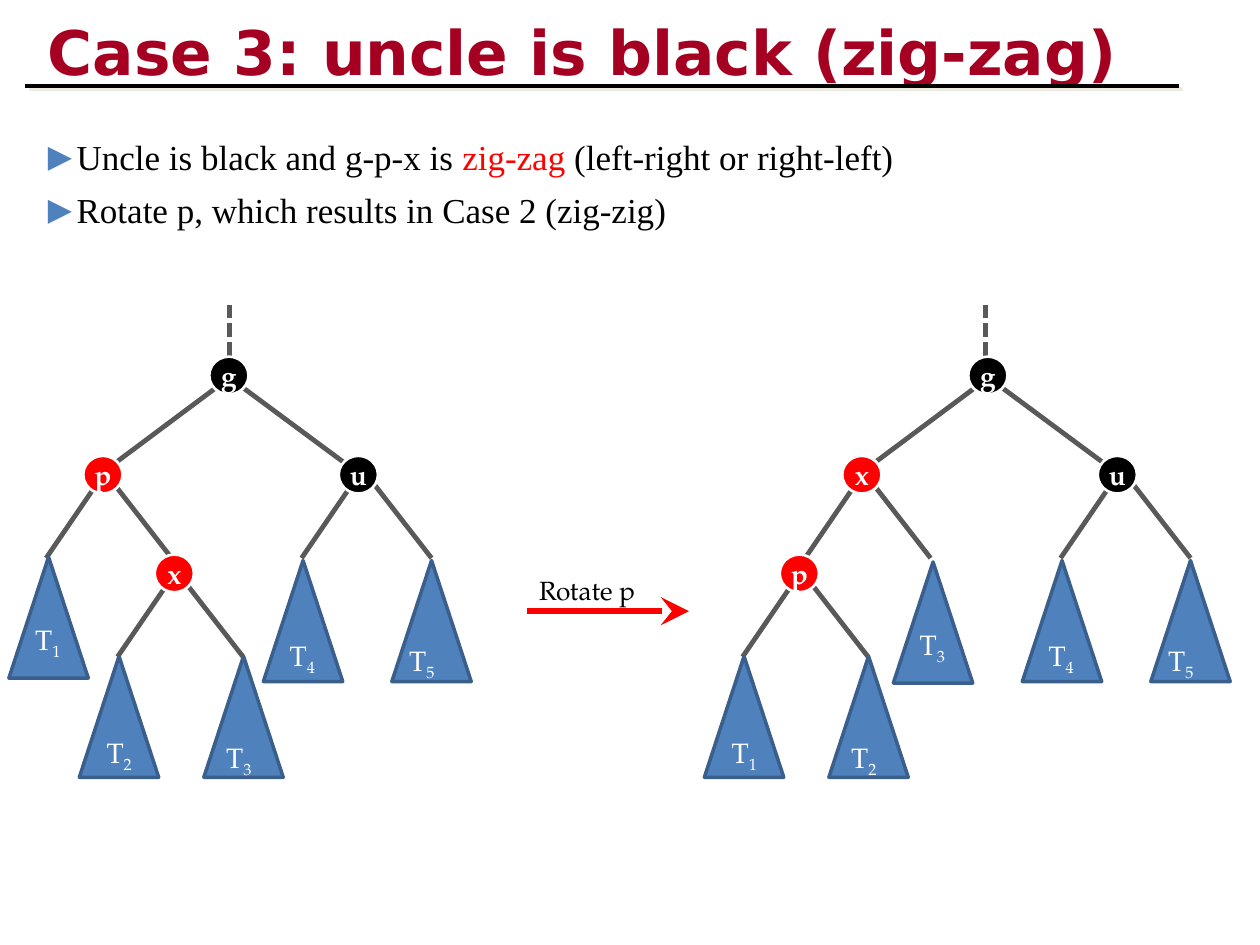
"""Build a slide showing how a zig-zag rotation restructures a red-black tree."""
from dataclasses import dataclass

import lxml.etree
import pptx
import pptx.dml.color
import pptx.enum.dml
import pptx.enum.shapes
import pptx.enum.text
import pptx.oxml.ns
import pptx.util
from pptx.util import Cm, Pt

BLACK, RED, WHITE = "000000", "FF0000", "FFFFFF"
BLUE, BLUE_EDGE, GREY, CREAM = "4F81BD", "3A5F8C", "595959", "EEECE1"
SERIF, LABEL_FONT, TITLE_FONT = "Times New Roman", "TeX Gyre Pagella", "DejaVu Sans"
NODE_WIDTH, NODE_HEIGHT = 0.79, 0.76
SUBTREE_WIDTH, SUBTREE_HEIGHT = 1.6, 2.44
SHAPE = pptx.enum.shapes.MSO_SHAPE
ANCHOR = pptx.enum.text.MSO_ANCHOR


@dataclass(frozen=True)
class Node:
    name: str
    x: float
    y: float
    fill: str
    fork_shift: float = 0


@dataclass(frozen=True)
class Subtree:
    index: str
    x: float
    y: float
    label_dx: float
    label_dy: float


@dataclass(frozen=True)
class Tree:
    offset: float
    stub_x: float
    root: Node
    forks: tuple[Node, ...]
    subtrees: tuple[Subtree, ...]


def colour(code: str):
    """Turn a hex string into a colour."""
    return pptx.dml.color.RGBColor.from_string(code)


def add_child(parent, tag: str, **attributes: str):
    """Append a drawing element to an XML parent."""
    return lxml.etree.SubElement(parent, pptx.oxml.ns.qn(tag), attributes)


def add_shadow(effects) -> None:
    """Put a hard diagonal cream shadow into an effect list."""
    shadow = add_child(effects, "a:outerShdw", blurRad="0", dist=str(Pt(2.8)),
                       dir="2700000", algn="ctr", rotWithShape="0")
    add_child(shadow, "a:srgbClr", val=CREAM)


def add_span(para, text: str, size: float, face: str, code: str, bold: bool = False):
    """Add one formatted run."""
    span = para.add_run()
    span.text = text
    span.font.size = Pt(size)
    span.font.name = face
    span.font.bold = bold
    span.font.color.rgb = colour(code)
    return span


def place(box, x: float, y: float, width: float, height: float) -> None:
    """Move and size a shape in centimetres."""
    box.left, box.top, box.width, box.height = Cm(x), Cm(y), Cm(width), Cm(height)


def draw_line(shapes, x1: float, y1: float, x2: float, y2: float,
              code: str = GREY, width: float = 2.75):
    """Draw a straight connector without a shadow."""
    line = shapes.add_connector(pptx.enum.shapes.MSO_CONNECTOR.STRAIGHT,
                                Cm(x1), Cm(y1), Cm(x2), Cm(y2))
    line.line.color.rgb = colour(code)
    line.line.width = Pt(width)
    add_child(line.element.spPr, "a:effectLst")
    return line


def draw_shape(shapes, kind, x: float, y: float, width: float, height: float,
               fill: str, edge: str, edge_width: float):
    """Draw a filled, outlined preset shape."""
    shape = shapes.add_shape(kind, Cm(x), Cm(y), Cm(width), Cm(height))
    shape.shadow.inherit = False
    shape.fill.solid()
    shape.fill.fore_color.rgb = colour(fill)
    shape.line.color.rgb = colour(edge)
    shape.line.width = Pt(edge_width)
    return shape


def draw_label(shapes, x: float, y: float, width: float, height: float):
    """Add a wrapping text box and return its paragraph."""
    box = shapes.add_textbox(Cm(x), Cm(y), Cm(width), Cm(height))
    box.text_frame.word_wrap = True
    box.text_frame.margin_right = 0
    return box.text_frame.paragraphs[0]


def draw_node(shapes, node: Node, offset: float) -> None:
    """Draw a lettered tree node."""
    circle = draw_shape(shapes, SHAPE.OVAL, node.x + offset, node.y,
                        NODE_WIDTH, NODE_HEIGHT, node.fill, WHITE, 1.5)
    circle.text_frame.word_wrap = False
    circle.text_frame.vertical_anchor = ANCHOR.MIDDLE
    para = circle.text_frame.paragraphs[0]
    para.alignment = pptx.enum.text.PP_ALIGN.CENTER
    add_span(para, node.name, 16, LABEL_FONT, WHITE, True)


def draw_subtree(shapes, subtree: Subtree, offset: float) -> None:
    """Draw a triangle labelled T with an index."""
    x = subtree.x + offset
    draw_shape(shapes, SHAPE.ISOSCELES_TRIANGLE, x, subtree.y,
               SUBTREE_WIDTH, SUBTREE_HEIGHT, BLUE, BLUE_EDGE, 2)
    para = draw_label(shapes, x + subtree.label_dx, subtree.y + subtree.label_dy, 1.07, 0.94)
    add_span(para, "T", 16, LABEL_FONT, WHITE)
    index = add_span(para, subtree.index, 16, LABEL_FONT, WHITE)
    index.font._element.set("baseline", "-25000")


def draw_tree(shapes, tree: Tree) -> None:
    """Draw the edges, then the nodes and subtrees."""
    x, y = tree.root.x + tree.offset, tree.root.y
    stub_x = tree.stub_x + tree.offset
    stub = draw_line(shapes, stub_x, y, stub_x, 6.15)
    stub.line.dash_style = pptx.enum.dml.MSO_LINE.SQUARE_DOT
    draw_line(shapes, x - 1.88, y + 2.13, x + 0.13, y + 0.63)
    draw_line(shapes, x + 2.71, y + 2.13, x + 0.55, y + 0.53)
    for node in tree.forks:
        x, y, shift = node.x + tree.offset, node.y, node.fork_shift
        draw_line(shapes, x + 1.78 + shift, y + 2.06, x + 0.28 + shift, y + 0.13)
        draw_line(shapes, x - 0.75, y + 2.06, x + 0.48, y + 0.26)
    for node in (tree.root, *tree.forks):
        draw_node(shapes, node, tree.offset)
    for subtree in tree.subtrees:
        draw_subtree(shapes, subtree, tree.offset)


def fill_title(title) -> None:
    """Write the shadowed heading."""
    place(title, 0.71, 0.13, 23.01, 1.7)
    frame = title.text_frame
    frame.auto_size = pptx.enum.text.MSO_AUTO_SIZE.NONE
    frame.vertical_anchor = ANCHOR.BOTTOM
    frame.margin_bottom = Cm(0.05)
    para = frame.paragraphs[0]
    para.alignment = pptx.enum.text.PP_ALIGN.LEFT
    span = add_span(para, "Case 3: uncle is black (zig-zag)", 35.1, TITLE_FONT, "A50021", True)
    effects = lxml.etree.Element(pptx.oxml.ns.qn("a:effectLst"))
    add_shadow(effects)
    span.font._element.find(pptx.oxml.ns.qn("a:solidFill")).addnext(effects)


def fill_body(body) -> None:
    """Write the bulleted list."""
    place(body, 0.71, 2.51, 24.18, 2.18)
    frame = body.text_frame
    frame.auto_size = pptx.enum.text.MSO_AUTO_SIZE.NONE
    frame.margin_top = Cm(0.23)
    items = ((("Uncle is black and g-p-x is ", BLACK), ("zig-zag ", RED),
              ("(left-right or right-left)", BLACK)),
             (("Rotate p, which results in Case 2 (zig-zig)", BLACK),))
    for number, spans in enumerate(items):
        para = frame.add_paragraph() if number else frame.paragraphs[0]
        properties = para._p.get_or_add_pPr()
        properties.set("marL", str(Cm(0.58)))
        properties.set("indent", str(-Cm(0.58)))
        add_child(add_child(properties, "a:buClr"), "a:srgbClr", val=BLUE)
        add_child(properties, "a:buSzPct", val="90000")
        add_child(properties, "a:buFont", typeface=TITLE_FONT)
        add_child(properties, "a:buChar", char="▶")
        para.space_before = Pt(6 if number else 0)
        for text, code in spans:
            add_span(para, text, 20, SERIF, code)


def draw_step(shapes) -> None:
    """Draw the captioned arrow between the trees."""
    arrow = draw_line(shapes, 10.62, 12.32, 13.89, 12.32, RED, 3.25)
    outline = arrow.element.spPr.find(pptx.oxml.ns.qn("a:ln"))
    add_child(outline, "a:tailEnd", type="stealth", w="lg", len="lg")
    add_span(draw_label(shapes, 10.62, 11.46, 3.28, 0.89), "Rotate p", 15, LABEL_FONT, BLACK)


def main() -> None:
    """Build and save the deck."""
    deck = pptx.Presentation()
    deck.slide_width, deck.slide_height = Cm(25.4), Cm(19.05)
    page = deck.slides.add_slide(deck.slide_layouts[1])
    fill_title(page.shapes.title)
    fill_body(page.placeholders[1])
    rule = draw_line(page.shapes, 0.51, 1.73, 23.77, 1.73, BLACK, 2.25)
    add_shadow(rule.element.spPr.find(pptx.oxml.ns.qn("a:effectLst")))
    root = Node("g", 4.22, 7.19, BLACK)
    uncle = Node("u", 6.83, 9.19, BLACK, 0.09)
    uncle_subtrees = (Subtree("4", 5.31, 11.3, 0.28, 1.45), Subtree("5", 7.9, 11.3, 0.1, 1.55))
    before = Tree(0, 4.62, root,
                  (Node("p", 1.68, 9.19, RED), uncle, Node("x", 3.12, 11.18, RED)),
                  (Subtree("1", 0.18, 11.23, 0.28, 1.19), *uncle_subtrees,
                   Subtree("2", 1.6, 13.23, 0.3, 1.47), Subtree("3", 4.11, 13.23, 0.2, 1.57)))
    after = Tree(15.3, 4.56, root,
                 (Node("x", 1.68, 9.19, RED), uncle, Node("p", 0.42, 11.18, RED)),
                 (Subtree("3", 2.71, 11.33, 0.28, 1.19), *uncle_subtrees,
                  Subtree("1", -1.1, 13.23, 0.3, 1.47), Subtree("2", 1.41, 13.23, 0.2, 1.57)))
    draw_tree(page.shapes, before)
    draw_step(page.shapes.add_group_shape().shapes)
    draw_tree(page.shapes, after)
    deck.save("out.pptx")


if __name__ == "__main__":
    main()
